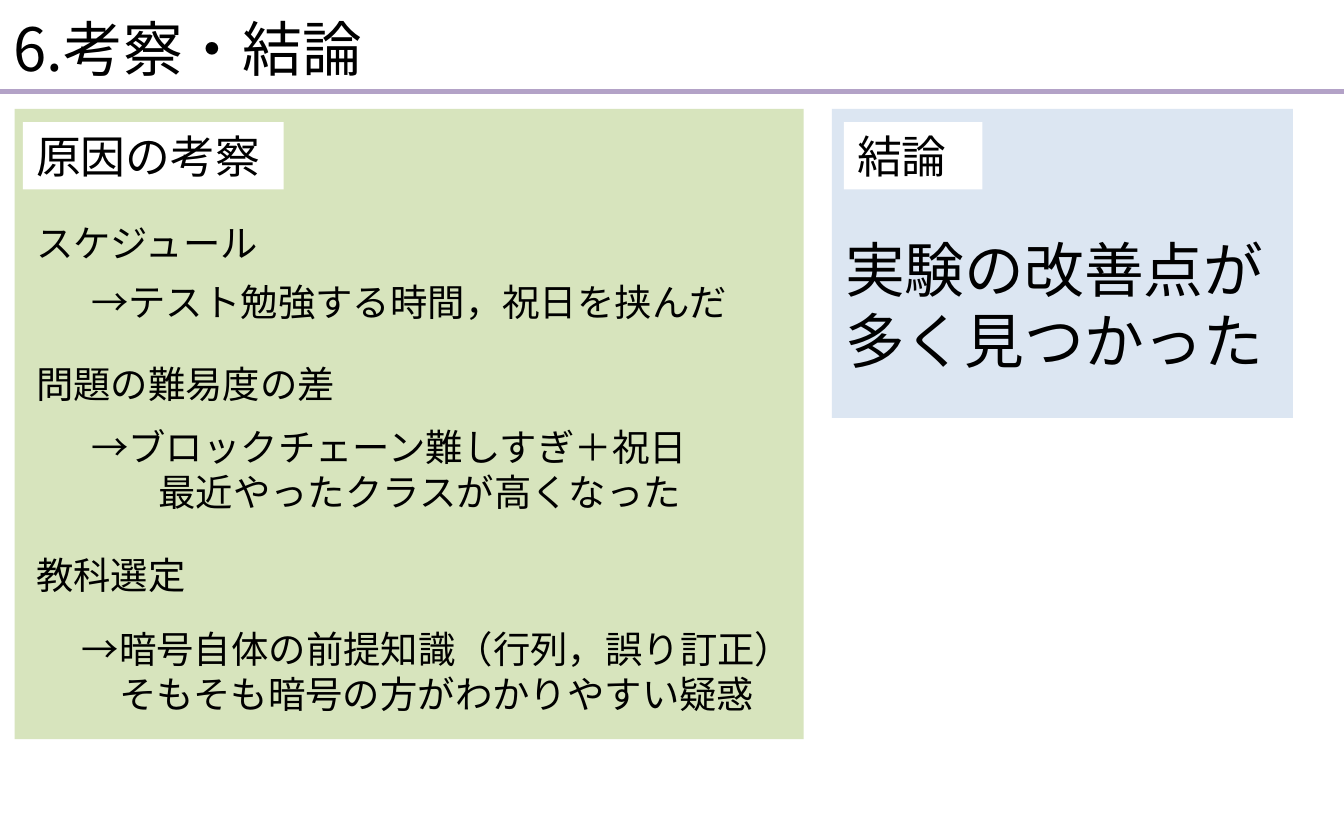
from dataclasses import dataclass
from pptx import Presentation
from pptx.dml.color import RGBColor as RGB
from pptx.enum.shapes import MSO_CONNECTOR as Conn, MSO_SHAPE as Kind
from pptx.enum.text import MSO_ANCHOR as Anchor, MSO_AUTO_SIZE as Fit, PP_ALIGN as Align
from pptx.oxml.ns import qn
from pptx.util import Pt

PX = 9144  # one px is a hundredth of an inch


@dataclass(frozen=True)
class Theme:
    font: str = "Noto Sans CJK JP"
    ink: str = "000000"
    paper: str = "FFFFFF"
    green: str = "D7E4BD"
    blue: str = "DCE6F2"
    rule: str = "B3A2C7"
    big: int = 32
    head: int = 24
    body: int = 20


T = Theme()

# Each topic: its name and top, then the box and lines of its note, and the indent of later lines
TOPICS = [
    ("スケジュール", 78, (47, 122, 507, 44),
     ["→テスト勉強する時間，祝日を挟んだ"], 0),
    ("問題の難易度の差", 183, (47, 230, 507, 77),
     ["→ブロックチェーン難しすぎ＋祝日", "最近やったクラスが高くなった"], 50),
    ("教科選定", 325, (40, 380, 555, 77),
     ["→暗号自体の前提知識（行列，誤り訂正）", "そもそも暗号の方がわかりやすい疑惑"], 28),
]


def emu(*box):
    return [v * PX for v in box]


def write(shape, lines, size, indent=0):
    """Fill a shape with left-aligned lines; all but the first are indented."""
    frame = shape.text_frame
    frame.word_wrap = True
    frame.auto_size = Fit.NONE
    frame.vertical_anchor = Anchor.TOP
    for i, line in enumerate(lines):
        para = frame.add_paragraph() if i else frame.paragraphs[0]
        para.alignment = Align.LEFT
        if i and indent:
            props = para._p.get_or_add_pPr()
            props.set("marL", str(indent * PX))
            props.set("indent", "0")
        run = para.add_run()
        run.text = line
        font = run.font
        font.name, font.size = T.font, Pt(size)
        font.color.rgb = RGB.from_string(T.ink)
        # East Asian glyphs take their own typeface entry
        mark = run._r.get_or_add_rPr()
        mark.set("lang", "ja-JP")
        face = mark.makeelement(qn("a:ea"), {"typeface": T.font})
        mark.find(qn("a:latin")).addnext(face)


def text(slide, box, lines, size, indent=0):
    write(slide.shapes.add_textbox(*emu(*box)), lines, size, indent)


def block(slide, box, fill):
    shape = slide.shapes.add_shape(Kind.RECTANGLE, *emu(*box))
    shape.shadow.inherit = False
    shape.fill.solid()
    shape.fill.fore_color.rgb = RGB.from_string(fill)
    shape.line.fill.background()
    return shape


def panel(slide, box, fill, label, inset, width):
    """Coloured panel with a white label in its top left corner."""
    x, y, w, h = box
    block(slide, box, fill)
    tag = block(slide, (x + inset, y + 10, width, 50), T.paper)
    write(tag, [label], T.head)


def header(slide, box):
    x, y, w, h = box
    # Title
    title = slide.shapes.title
    title.left, title.top, title.width, title.height = emu(x, y + 4, 811, h - 4)
    write(title, ["6.考察・結論"], T.big)
    # Rule below the title
    rule = slide.shapes.add_connector(Conn.STRAIGHT, *emu(x, y + h, x + w, y + h))
    rule.line.color.rgb = RGB.from_string(T.rule)
    rule.line.width = Pt(3)
    props = rule._element.spPr
    props.append(props.makeelement(qn("a:effectLst"), {}))


def causes(slide, box):
    x, y, w, h = box
    panel(slide, box, T.green, "原因の考察", 6, 194)
    for name, top, (left, down, wide, high), lines, indent in TOPICS:
        text(slide, (x + 6, y + top, 300, 44), [name], T.body)
        text(slide, (x + left, y + down, wide, high), lines, T.body, indent)


def result(slide, box):
    x, y, w, h = box
    panel(slide, box, T.blue, "結論", 9, 103)
    text(slide, (x, y + 87, 332, 118), ["実験の改善点が多く見つかった"], T.big)


def main():
    deck = Presentation()
    deck.slide_width, deck.slide_height = emu(1000, 625)
    slide = deck.slides.add_slide(deck.slide_layouts[5])
    header(slide, (0, 0, 1000, 68))
    causes(slide, (11, 81, 587, 469))
    result(slide, (619, 81, 343, 230))
    deck.save("out.pptx")


if __name__ == "__main__":
    main()
